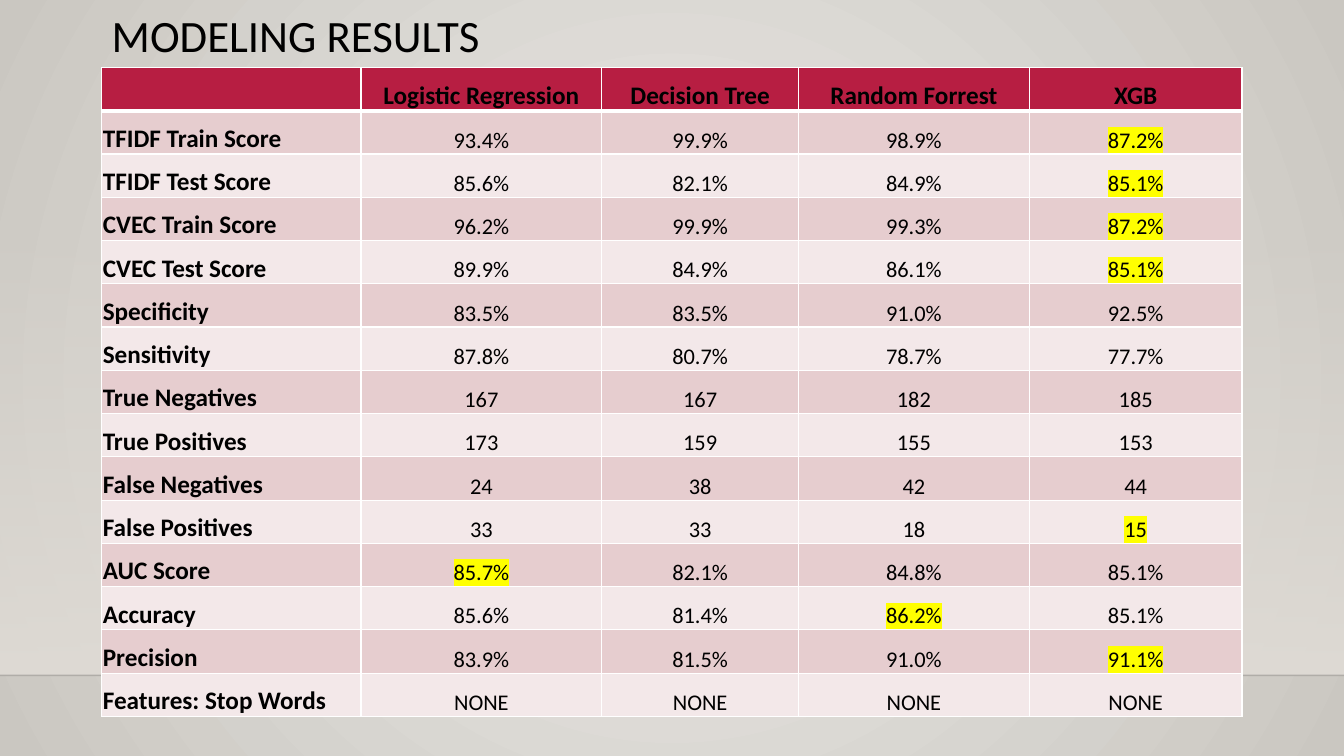
from lxml import etree
from pptx import Presentation
from pptx.dml.color import RGBColor
from pptx.enum.shapes import MSO_CONNECTOR, MSO_SHAPE
from pptx.enum.text import MSO_ANCHOR, PP_ALIGN
from pptx.oxml.ns import qn
from pptx.util import Inches, Pt

LEFT, CENTER = PP_ALIGN.LEFT, PP_ALIGN.CENTER
BOTTOM, MIDDLE = MSO_ANCHOR.BOTTOM, MSO_ANCHOR.MIDDLE
RECT, STRAIGHT = MSO_SHAPE.RECTANGLE, MSO_CONNECTOR.STRAIGHT

BLACK = RGBColor(0x00, 0x00, 0x00)
WHITE = RGBColor(0xFF, 0xFF, 0xFF)
YELLOW = RGBColor(0xFF, 0xFF, 0x00)
CRIMSON = RGBColor(0xB7, 0x1E, 0x42)
ROSE = RGBColor(0xE6, 0xCD, 0xCF)
BLUSH = RGBColor(0xF3, 0xE8, 0xE9)
LIGHT = RGBColor(0xEC, 0xEA, 0xE7)
STONE = RGBColor(0xCA, 0xC7, 0xC1)
SAND = RGBColor(0xDF, 0xDB, 0xD5)

WIDE, HIGH = Inches(13.33), Inches(7.5)
EDGE = Inches(1.01)
FLOOR = Inches(6.7)
COLS = [2.57, 2.39, 1.95, 2.29, 2.11]
TOP, TALL = Inches(0.67), Inches(6.44)

HEAD = {"size": Pt(18), "bold": True, "name": "Calibri"}
BODY = {"size": Pt(16), "bold": False, "name": "Calibri"}
TITLE = {"size": Pt(32), "bold": False, "name": "Calibri"}
INSET = {"margin_left": Inches(0.01), "margin_right": Inches(0.01),
         "margin_top": Inches(0.01), "margin_bottom": 0,
         "vertical_anchor": BOTTOM}

ROWS = [
    ["", "Logistic Regression", "Decision Tree", "Random Forrest", "XGB"],
    ["TFIDF Train Score", "93.4%", "99.9%", "98.9%", "87.2%"],
    ["TFIDF Test Score", "85.6%", "82.1%", "84.9%", "85.1%"],
    ["CVEC Train Score", "96.2%", "99.9%", "99.3%", "87.2%"],
    ["CVEC Test Score", "89.9%", "84.9%", "86.1%", "85.1%"],
    ["Specificity", "83.5%", "83.5%", "91.0%", "92.5%"],
    ["Sensitivity", "87.8%", "80.7%", "78.7%", "77.7%"],
    ["True Negatives", "167", "167", "182", "185"],
    ["True Positives", "173", "159", "155", "153"],
    ["False Negatives", "24", "38", "42", "44"],
    ["False Positives", "33", "33", "18", "15"],
    ["AUC Score", "85.7%", "82.1%", "84.8%", "85.1%"],
    ["Accuracy", "85.6%", "81.4%", "86.2%", "85.1%"],
    ["Precision", "83.9%", "81.5%", "91.0%", "91.1%"],
    ["Features: Stop Words", "NONE", "NONE", "NONE", "NONE"],
]
# (row, column) of the highlighted scores
BEST = {(1, 4), (2, 4), (3, 4), (4, 4), (10, 4), (11, 1), (12, 3), (13, 4)}


def apply(item, form):
    for key, value in form.items():
        setattr(item, key, value)


def add_sub(node, tag, **attrs):
    return etree.SubElement(node, qn(tag), attrs)


def set_alpha(node, share):
    """Give the first colour under node an opacity in percent."""
    color = next(node.iter(qn("a:srgbClr")))
    add_sub(color, "a:alpha", val=str(share * 1000))


def blend(fill, first, last):
    fill.gradient()
    for stop, color, spot in zip(fill.gradient_stops, (first, last), (0, 1)):
        stop.color.rgb = color
        stop.position = spot


def paint_back(slide):
    """Fill the background with a gradient that spreads from the centre."""
    blend(slide.background.fill, LIGHT, STONE)
    grad = next(slide.element.iter(qn("a:gradFill")))
    grad.remove(grad.find(qn("a:lin")))
    ring = add_sub(grad, "a:path", path="circle")
    add_sub(ring, "a:fillToRect", l="50000", t="50000", r="50000", b="50000")


def add_wall(slide):
    top = Inches(2.21)
    wall = slide.shapes.add_shape(RECT, 0, top, WIDE, FLOOR - top)
    wall.shadow.inherit = False
    wall.line.fill.background()
    blend(wall.fill, SAND, SAND)
    wall.fill.gradient_angle = 270
    set_alpha(wall.element, 0)


def add_floor(slide):
    edge = slide.shapes.add_connector(STRAIGHT, 0, FLOOR, WIDE, FLOOR)
    edge.line.width = Pt(1)
    edge.line.color.rgb = BLACK
    set_alpha(edge.element, 20)
    add_sub(edge.element.spPr, "a:effectLst")


def write(para, text, form, align, mark=False):
    para.alignment = align
    run = para.add_run()
    run.text = text
    apply(run.font, form)
    run.font.color.rgb = BLACK
    if mark:
        glow = etree.Element(qn("a:highlight"))
        add_sub(glow, "a:srgbClr", val=str(YELLOW))
        run.font.fill._xPr.find(qn("a:solidFill")).addnext(glow)


def add_title(slide, text):
    box = slide.shapes.add_textbox(EDGE, Inches(0.09), Inches(10.5), Inches(0.57))
    apply(box.text_frame, {"word_wrap": True, "vertical_anchor": MIDDLE})
    para = box.text_frame.paragraphs[0]
    para.line_spacing = 0.9
    write(para, text, TITLE, LEFT)


def add_rules(cell, row):
    """Draw white cell borders, with a thick rule under the header."""
    props = cell._tc.get_or_add_tcPr()
    thick = {"T": row == 1, "B": row == 0}
    for side in "LRTB":
        width = Pt(3 if thick.get(side) else 1)
        line = add_sub(props, f"a:ln{side}", w=str(width))
        add_sub(add_sub(line, "a:solidFill"), "a:srgbClr", val=str(WHITE))


def fill_cell(cell, row, col):
    apply(cell, INSET)
    add_rules(cell, row)
    cell.fill.solid()
    cell.fill.fore_color.rgb = CRIMSON if row == 0 else (BLUSH, ROSE)[row % 2]
    text = ROWS[row][col]
    if text:
        form = HEAD if row == 0 or col == 0 else BODY
        align = CENTER if col else LEFT
        write(cell.text_frame.paragraphs[0], text, form, align,
              (row, col) in BEST)


def add_scores(slide):
    frame = slide.shapes.add_table(len(ROWS), len(COLS), EDGE, TOP,
                                   Inches(sum(COLS)), TALL)
    table = frame.table
    for col, width in zip(table.columns, COLS):
        col.width = Inches(width)
    for row in range(len(ROWS)):
        for col in range(len(COLS)):
            fill_cell(table.cell(row, col), row, col)


def main():
    deck = Presentation()
    deck.slide_width, deck.slide_height = WIDE, HIGH
    slide = deck.slides.add_slide(deck.slide_layouts[6])
    paint_back(slide)
    add_wall(slide)
    add_floor(slide)
    add_scores(slide)
    add_title(slide, "MODELING RESULTS")
    deck.save("out.pptx")


if __name__ == "__main__":
    main()
